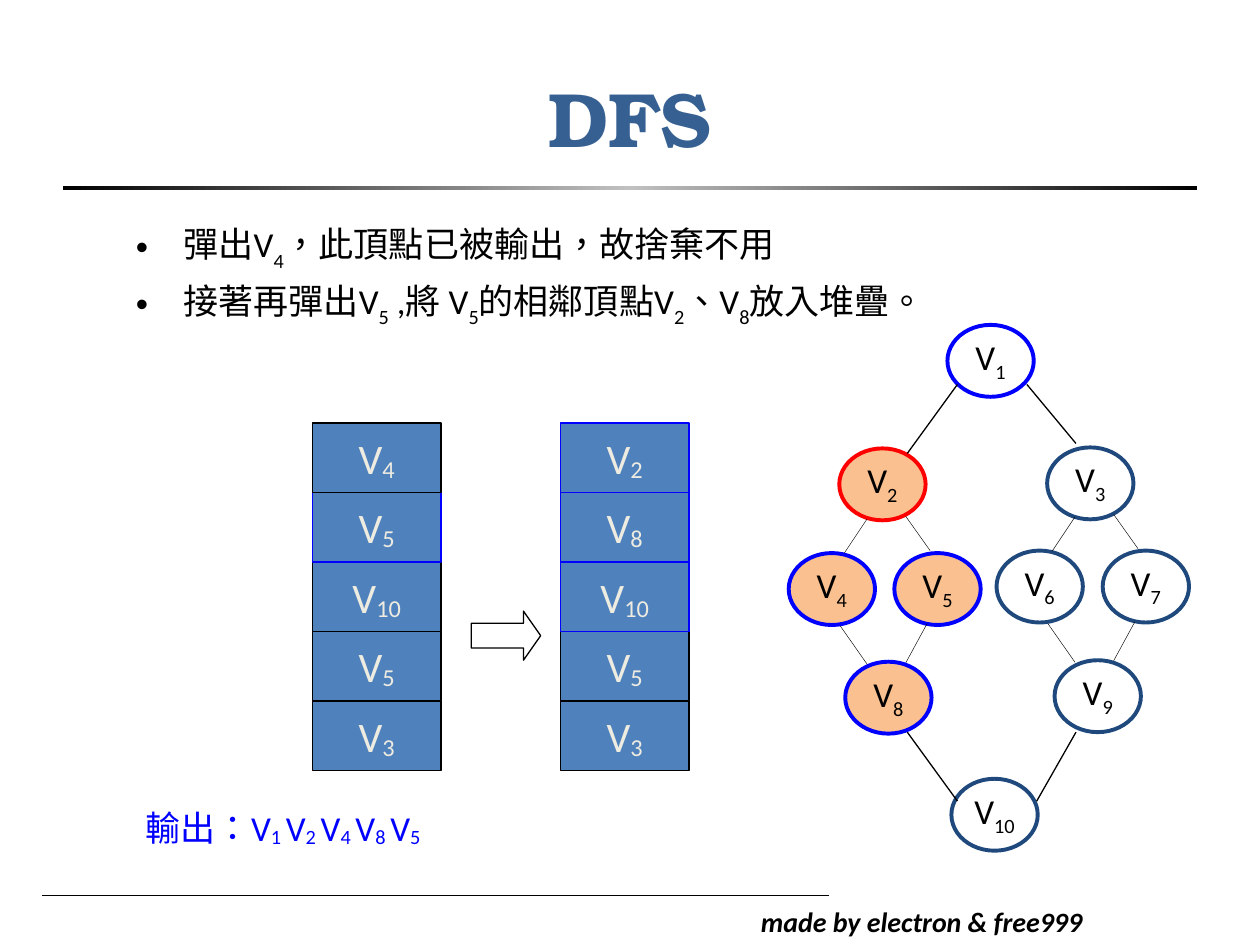
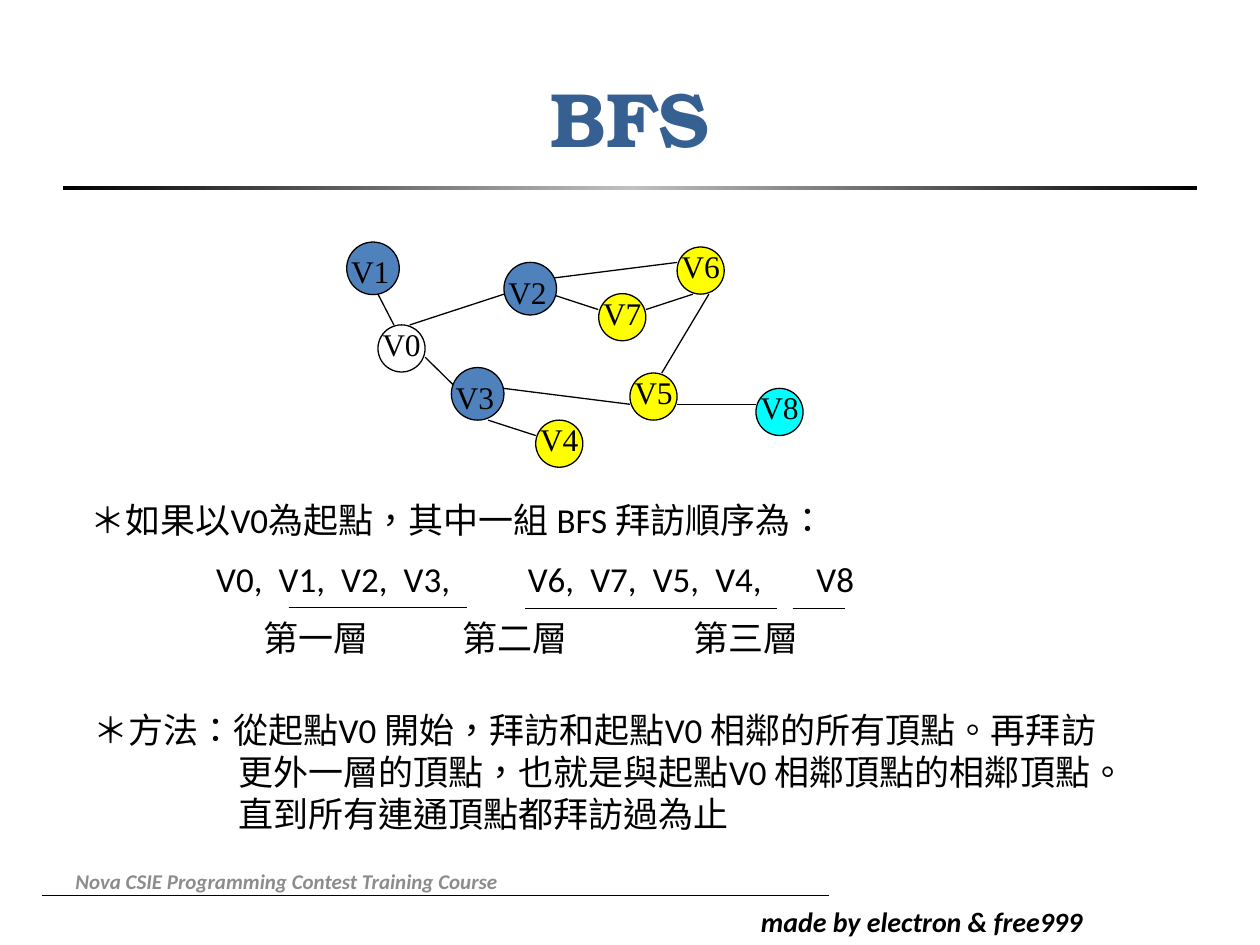
from copy import deepcopy
from dataclasses import dataclass
from itertools import chain
from typing import NamedTuple, Optional, Sequence

from lxml.etree import SubElement
from pptx import Presentation
from pptx.dml.color import RGBColor
from pptx.enum.shapes import MSO_CONNECTOR, MSO_SHAPE
from pptx.enum.text import MSO_ANCHOR, PP_ALIGN
from pptx.oxml.ns import qn
from pptx.util import Cm, Pt

BLACK, WHITE, BLUE, RED = "000000", "FFFFFF", "0000FF", "FF0000"
NAVY, STEEL, PEACH, YELLOW, CYAN = "1F497D", "4F81BD", "FAC090", "FFFF00", "00FFFF"
TITLE_COLOR, CREAM, GRAY, SILVER = "376092", "EEECE1", "8C8C8C", "C0C0C0"
BODY_FONT, TITLE_FONT, LABEL_FONT = "Calibri", "TeX Gyre Bonum", "Times New Roman"


class Box(NamedTuple):
    left: float
    top: float
    width: float
    height: float


class Edge(NamedTuple):
    x1: float
    y1: float
    x2: float
    y2: float

    def shifted(self, across: float, down: float) -> "Edge":
        return Edge(self.x1 + across, self.y1 + down, self.x2 + across, self.y2 + down)


@dataclass
class TreeNode:
    number: str
    left: float
    top: float
    outline: str = NAVY
    fill: Optional[str] = None


@dataclass
class GraphNode:
    label: str
    left: float
    top: float
    fill: str
    diameter: float = 0.95
    label_drop: float = 0


@dataclass
class StackCell:
    number: str
    outline: str = BLACK


def color(value: str) -> RGBColor:
    return RGBColor.from_string(value)


def lengths(values: Sequence[float]) -> list:
    return [Cm(value) for value in values]


def write_text(shape, *lines: str, size=20, font=BODY_FONT, text_color=BLACK, bold=False,
               italic=False, align=PP_ALIGN.LEFT, anchor=MSO_ANCHOR.TOP, margin=None,
               wrap=True, subscript=-25, space_before=0, line_spacing=None, hanging=0,
               bullet=None, tabs=()):
    """Each line alternates normal and subscript pieces, separated by bars."""
    frame = shape.text_frame
    frame.word_wrap = wrap
    frame.vertical_anchor = anchor
    if margin is not None:
        frame.margin_left = frame.margin_right = Cm(margin)
        frame.margin_top = frame.margin_bottom = Cm(margin)
    for index, line in enumerate(lines):
        paragraph = frame.add_paragraph() if index else frame.paragraphs[0]
        paragraph.alignment = align
        paragraph.space_before = Pt(space_before)
        paragraph.line_spacing = line_spacing
        properties = paragraph._p.get_or_add_pPr()
        if hanging:
            properties.set("marL", str(Cm(hanging)))
            properties.set("indent", str(-Cm(hanging)))
        if bullet:
            SubElement(properties, qn("a:buFont"), typeface="Arial")
            SubElement(properties, qn("a:buChar"), char=bullet)
        if tabs:
            tab_list = SubElement(properties, qn("a:tabLst"))
            for position in tabs:
                SubElement(tab_list, qn("a:tab"), pos=str(Cm(position)), algn="l")
        for piece_index, piece in enumerate(line.split("|")):
            if not piece:
                continue
            run = paragraph.add_run()
            run.text = piece
            run.font.size, run.font.name = Pt(size), font
            run.font.bold, run.font.italic = bold, italic
            run.font.color.rgb = color(text_color)
            run_properties = run._r.get_or_add_rPr()
            run_properties.set("lang", "zh-TW")
            if piece_index % 2:
                run_properties.set("baseline", str(subscript * 1000))


def add_text(slide, box: Box, *lines: str, **text_format):
    write_text(slide.shapes.add_textbox(*lengths(box)), *lines, **text_format)


def add_shape(slide, kind, box: Box, fill: Optional[str] = None,
              outline: Optional[str] = BLACK, weight: float = 0.75):
    shape = slide.shapes.add_shape(kind, *lengths(box))
    shape.shadow.inherit = False
    if fill:
        shape.fill.solid()
        shape.fill.fore_color.rgb = color(fill)
    else:
        shape.fill.background()
    if outline:
        shape.line.color.rgb = color(outline)
        shape.line.width = Pt(weight)
    else:
        shape.line.fill.background()
    return shape


def add_edge(slide, edge: Edge, weight: float = 0.75):
    connector = slide.shapes.add_connector(MSO_CONNECTOR.STRAIGHT, *lengths(edge))
    connector.line.color.rgb = color(BLACK)
    connector.line.width = Pt(weight)
    SubElement(connector._element.spPr, qn("a:effectLst"))


def add_title_rule(slide):
    rule = add_shape(slide, MSO_SHAPE.RECTANGLE, Box(1.27, 3.76, 22.86, 0.08), outline=None)
    rule.fill.gradient()
    rule.fill.gradient_angle = 0
    stop_list = next(rule._element.spPr.iter(qn("a:gsLst")))
    stop_list.insert(1, deepcopy(stop_list[0]))
    shades = ((0, BLACK), (0.5, SILVER), (1, BLACK))
    for stop, (position, shade) in zip(rule.fill.gradient_stops, shades):
        stop.position = position
        stop.color.rgb = color(shade)


def add_titled_slide(presentation, heading: str):
    slide = presentation.slides.add_slide(presentation.slide_layouts[5])
    add_edge(slide, Edge(0.84, 18.06, 16.71, 18.06), 0.5)
    add_text(slide, Box(15.09, 18.11, 7.8, 0.94), "made by electron & free999",
             size=16, bold=True, italic=True)
    add_title_rule(slide)
    title = slide.shapes.title
    title.left, title.top, title.width, title.height = lengths(Box(1.27, 0.76, 22.86, 3.18))
    write_text(title, heading, size=44, font=TITLE_FONT, text_color=TITLE_COLOR, bold=True,
               align=PP_ALIGN.CENTER, anchor=MSO_ANCHOR.MIDDLE)
    return slide


def add_tree_node(slide, node: TreeNode):
    ellipse = add_shape(slide, MSO_SHAPE.OVAL, Box(node.left, node.top, 1.74, 1.45),
                        node.fill, node.outline, 2.25)
    write_text(ellipse, f"V|{node.number}", align=PP_ALIGN.CENTER, margin=0, line_spacing=0.96)


def add_graph_node(slide, node: GraphNode):
    add_shape(slide, MSO_SHAPE.OVAL, Box(node.left, node.top, node.diameter, node.diameter),
              node.fill)
    add_text(slide, Box(node.left, node.top + node.label_drop, 0.95, 0.64), node.label,
             size=18, font=LABEL_FONT, align=PP_ALIGN.CENTER, margin=0)


def add_stack(slide, left: float, cells: Sequence[StackCell]):
    width, height, top = 2.59, 1.4, 8.53
    for row, cell in reversed(list(enumerate(cells))):
        rectangle = add_shape(slide, MSO_SHAPE.RECTANGLE,
                              Box(left, top + row * height, width, height),
                              STEEL, cell.outline)
        write_text(rectangle, f"V|{cell.number}", size=24, text_color=CREAM, subscript=-10,
                   align=PP_ALIGN.CENTER, anchor=MSO_ANCHOR.MIDDLE, wrap=False)


def build_dfs_slide(presentation):
    slide = add_titled_slide(presentation, "DFS")
    add_text(slide, Box(2.49, 4.37, 21.59, 4.01),
             "彈出V|4|，此頂點已被輸出，故捨棄不用",
             "接著再彈出V|5| ,將 V|5|的相鄰頂點V|2|、V|8|放入堆疊。",
             subscript=-30, space_before=4, hanging=0.96, bullet="•")

    for node in (
        TreeNode("1", 19.1, 6.55, BLUE),
        TreeNode("2", 16.92, 9.04, RED, PEACH),
        TreeNode("4", 15.9, 11.15, BLUE, PEACH),
        TreeNode("5", 18.03, 11.15, BLUE, PEACH),
        TreeNode("8", 17.04, 13.34, BLUE, PEACH),
        TreeNode("10", 19.18, 15.7),
        TreeNode("3", 21.11, 9.02),
        TreeNode("6", 20.09, 11.1),
        TreeNode("7", 22.23, 11.1),
        TreeNode("9", 21.26, 13.31),
    ):
        add_tree_node(slide, node)
    left_diamond = (
        Edge(17.48, 10.46, 17.02, 11.15),
        Edge(18.26, 10.41, 18.75, 11.1),
        Edge(16.94, 12.62, 17.48, 13.39),
        Edge(18.69, 12.57, 18.26, 13.36),
    )
    right_diamond = (edge.shifted(4.19, -0.04) for edge in left_diamond)
    for edge in chain(left_diamond, right_diamond):
        add_edge(slide, edge, 0.25)
    for edge in (
        Edge(19.3, 7.75, 18.29, 9.14),
        Edge(18.29, 14.76, 19.3, 16.15),
        Edge(20.7, 7.75, 21.69, 8.94),
        Edge(21.69, 14.76, 20.9, 16.15),
    ):
        add_edge(slide, edge)

    add_stack(slide, 6.3, (StackCell("4"), StackCell("5", BLUE), StackCell("10"),
                           StackCell("5"), StackCell("3")))
    add_stack(slide, 11.3, (StackCell("2", BLUE), StackCell("8", BLUE), StackCell("10", BLUE),
                            StackCell("5"), StackCell("3")))
    arrow = add_shape(slide, MSO_SHAPE.RIGHT_ARROW, Box(9.5, 12.32, 1.4, 0.99))
    arrow.adjustments[0], arrow.adjustments[1] = 0.5, 0.35
    add_text(slide, Box(2.69, 16.13, 6.86, 1.09), "輸出：V|1 |V|2 |V|4 |V|8 |V|5",
             text_color=BLUE, subscript=-10, wrap=False)


def build_bfs_slide(presentation):
    slide = add_titled_slide(presentation, "BFS")
    for edge in (
        Edge(10.16, 5.93, 8.26, 6.55),
        Edge(7.62, 5.93, 7.94, 6.55),
        Edge(8.57, 7.2, 9.21, 7.83),
        Edge(11.11, 5.93, 12.06, 6.24),
        Edge(10.8, 8.78, 9.84, 8.47),
        Edge(10.16, 7.83, 12.7, 8.15),
        Edge(11.11, 5.61, 13.65, 5.29),
        Edge(13.65, 8.15, 15.24, 8.15),
        Edge(13.02, 6.24, 13.97, 5.93),
        Edge(14.29, 5.93, 13.34, 7.52),
    ):
        add_edge(slide, edge)
    first_layer = {"fill": STEEL, "diameter": 1.06, "label_drop": 0.21}
    for node in (
        GraphNode("V0", 7.62, 6.55, WHITE),
        GraphNode("V1", 6.99, 4.88, **first_layer),
        GraphNode("V2", 10.16, 5.29, **first_layer),
        GraphNode("V3", 9.1, 7.41, **first_layer),
        GraphNode("V4", 10.8, 8.47, YELLOW),
        GraphNode("V5", 12.7, 7.52, YELLOW),
        GraphNode("V6", 13.65, 4.98, YELLOW),
        GraphNode("V7", 12.07, 5.92, YELLOW),
        GraphNode("V8", 15.24, 7.83, CYAN),
    ):
        add_graph_node(slide, node)

    step = 1.26
    visit_tabs = [start + step * index for start in (2.54, 8.82) for index in range(4)] + [14.64]
    order_text = (
        (9.93, "＊如果以V0為起點，其中一組 BFS 拜訪順序為：", ()),
        (11.12, "\tV0,\tV1,\tV2,\tV3,\tV6,\tV7,\tV5,\tV4,\tV8", visit_tabs),
        (12.31, "\t第一層\t第二層\t第三層", (3.5, 7.5, 12.16)),
    )
    for top, line, tabs in order_text:
        add_text(slide, Box(1.57, top, 21.39, 1.25), line, space_before=10, tabs=tabs)
    for edge in (
        Edge(5.82, 12.24, 9.42, 12.24),
        Edge(10.59, 12.27, 15.67, 12.27),
        Edge(15.98, 12.27, 17.04, 12.27),
    ):
        add_edge(slide, edge)
    add_text(slide, Box(1.63, 14.15, 20.96, 2.79),
             "＊方法：從起點V0 開始，拜訪和起點V0 相鄰的所有頂點。再拜訪更外一層的頂點，"
             "也就是與起點V0 相鄰頂點的相鄰頂點。直到所有連通頂點都拜訪過為止",
             space_before=10, hanging=2.92)
    add_text(slide, Box(1.27, 17.25, 11.84, 1.02),
             "Nova CSIE Programming Contest Training Course", size=12, text_color=GRAY,
             bold=True, italic=True, anchor=MSO_ANCHOR.MIDDLE)


presentation = Presentation()
presentation.slide_width, presentation.slide_height = Cm(25.4), Cm(19.05)
build_dfs_slide(presentation)
build_bfs_slide(presentation)
presentation.save("out.pptx")
